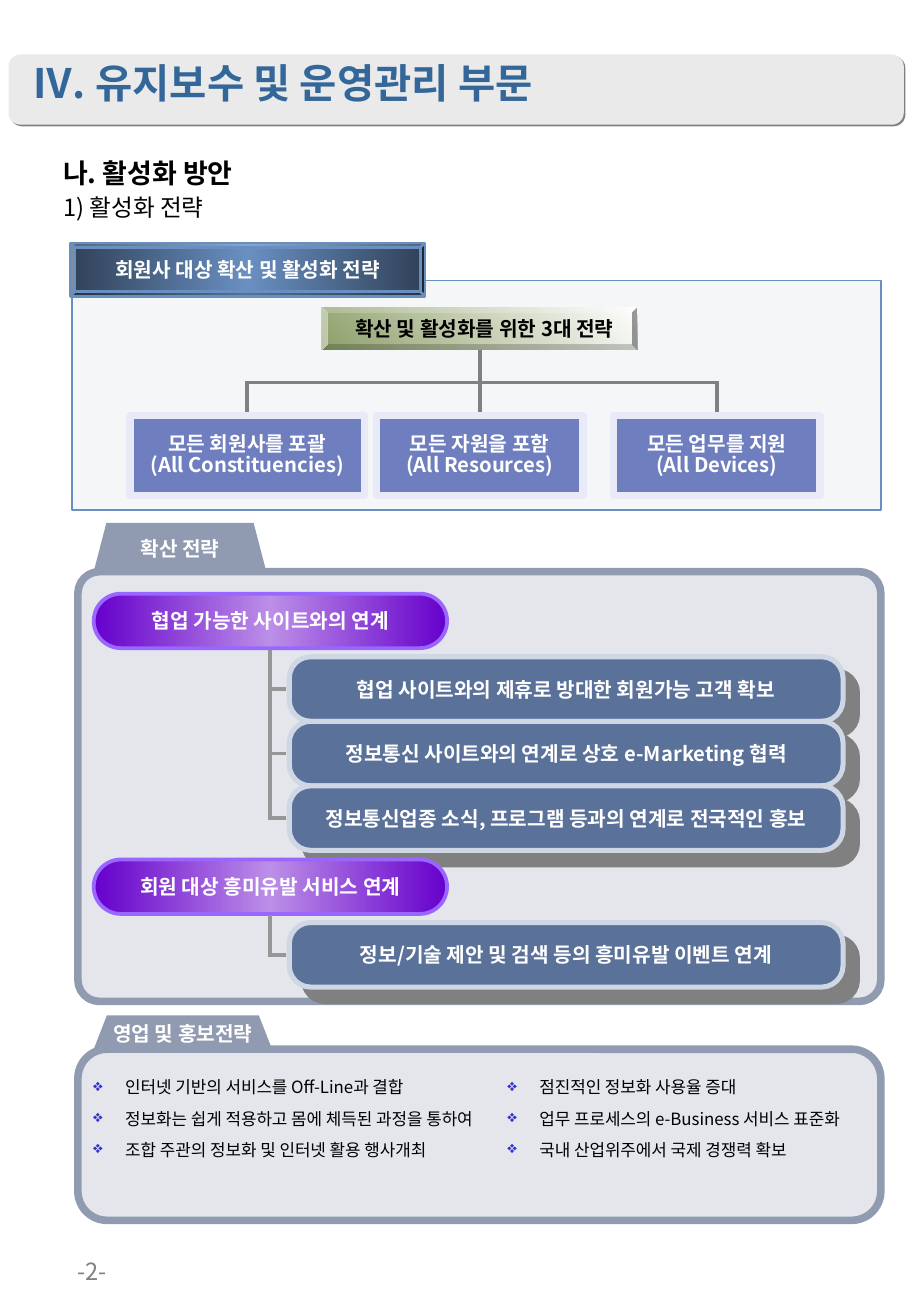
from lxml.etree import SubElement
from pptx import Presentation
from pptx.dml.color import RGBColor
from pptx.enum.shapes import MSO_CONNECTOR, MSO_SHAPE
from pptx.enum.text import MSO_ANCHOR, PP_ALIGN
from pptx.oxml.ns import qn
from pptx.util import Cm, Pt

FONT = "Noto Sans CJK KR"
COLORS = {
    "white": "FFFFFF", "black": "000000", "gray": "808080", "header": "EAEAEA",
    "heading": "336699", "overview": "ECEEF0", "blue": "698FC1", "navy": "304158",
    "green": "8EA06A", "pale": "FEFEFE", "box": "6F7EBF", "box_edge": "E8EAF8",
    "panel": "E4E6EC", "panel_edge": "909AB0", "purple": "6600CC", "lilac": "BB8EE7",
    "pill_edge": "9966FF", "row": "5A719A", "row_edge": "D0D7E4", "branch": "969696",
    "bullet": "3333CC",
}


def color(name):
    return RGBColor.from_string(COLORS[name])


def write(shape, lines, size, ink, bold=False, align=PP_ALIGN.LEFT, spacing=None):
    shape.text_frame.text = "\n".join(lines)
    for paragraph in shape.text_frame.paragraphs:
        paragraph.alignment = align
        if spacing:
            paragraph.line_spacing = spacing
        for run in paragraph.runs:
            run.font.name = FONT
            run.font.size = Pt(size)
            run.font.bold = bold
            run.font.color.rgb = color(ink)
            SubElement(run.font._element, qn("a:ea")).set("typeface", FONT)


def add_text(slide, box, lines, size, ink, **style):
    shape = slide.shapes.add_textbox(*map(Cm, box))
    shape.text_frame.word_wrap = True
    write(shape, lines, size, ink, **style)
    return shape


def add_gradient(shape, names, angle):
    """Spread the named colours evenly along the angle."""
    shape.fill.gradient()
    shape.fill.gradient_angle = angle
    stops = shape._element.spPr.find(".//" + qn("a:gsLst"))
    stops.clear()
    for index, name in enumerate(names):
        stop = SubElement(stops, qn("a:gs"), pos=str(index * 100000 // (len(names) - 1)))
        SubElement(stop, qn("a:srgbClr"), val=COLORS[name])


def add_shadow(shape, distance):
    effects = shape._element.spPr.find(qn("a:effectLst"))
    shadow = SubElement(effects, qn("a:outerShdw"), dist=str(Pt(distance)),
                        dir="2700000", algn="ctr", rotWithShape="0")
    SubElement(shadow, qn("a:srgbClr"), val=COLORS["gray"])


def add_block(slide, kind, box, fill, edge=None, width=1, adjust=None, lines=(),
              ink="white", angle=0, shadow=None):
    """A preset shape; a tuple as fill makes a gradient."""
    shape = slide.shapes.add_shape(kind, *map(Cm, box))
    shape.shadow.inherit = False
    if adjust is not None:
        shape.adjustments[0] = adjust
    if isinstance(fill, tuple):
        add_gradient(shape, fill, angle)
    else:
        shape.fill.solid()
        shape.fill.fore_color.rgb = color(fill)
    if edge:
        shape.line.color.rgb = color(edge)
        shape.line.width = Pt(width)
    else:
        shape.line.fill.background()
    if shadow:
        add_shadow(shape, shadow)
    if lines:
        frame = shape.text_frame
        frame.word_wrap = False
        frame.vertical_anchor = MSO_ANCHOR.MIDDLE
        frame.margin_top = frame.margin_bottom = 0
        write(shape, lines, 12, ink, bold=True, align=PP_ALIGN.CENTER,
              spacing=0.85 if len(lines) > 1 else None)
    return shape


def add_line(slide, start, end, ink):
    connector = slide.shapes.add_connector(MSO_CONNECTOR.STRAIGHT, *map(Cm, start + end))
    connector.line.color.rgb = color(ink)
    connector.line.width = Pt(2.25)
    connector.line._get_or_add_ln().set("cap", "sq")
    SubElement(connector._element.spPr, qn("a:effectLst"))


def add_tabbed_panel(slide, top, height, adjust, tab_width, tab_height, tab_adjust, label):
    add_block(slide, MSO_SHAPE.ROUNDED_RECTANGLE, (1.63, top, 16.79, height),
              "panel", "panel_edge", 4.5, adjust)
    add_block(slide, MSO_SHAPE.TRAPEZOID, (1.96, top - tab_height, tab_width, tab_height),
              "panel_edge", adjust=tab_adjust, lines=[label])


def add_linked_group(slide, top, label, first_row, rows):
    """A pill with rows hanging from a trunk below it."""
    height, trunk, row_left, pill_height = 1.35, 5.64, 6.05, 1.14
    add_block(slide, MSO_SHAPE.ROUNDED_RECTANGLE, (1.96, top, 7.39, pill_height),
              ("purple", "lilac", "purple"), "pill_edge", 2.25, 0.5, [label])
    for index, text in enumerate(rows):
        row_top = first_row + index * height
        middle = row_top + height / 2
        add_block(slide, MSO_SHAPE.ROUNDED_RECTANGLE, (row_left, row_top, 11.58, height),
                  "row", "row_edge", 3, 0.33, [text], shadow=12.1)
        add_line(slide, (trunk, middle), (row_left - 0.1, middle), "branch")
    add_line(slide, (trunk, top + pill_height + 0.07), (trunk, middle), "branch")


def add_bullets(slide, box, lines):
    shape = add_text(slide, box, lines, 10, "black", spacing=1.02)
    for index, paragraph in enumerate(shape.text_frame.paragraphs):
        if index:
            paragraph.space_before = Pt(6.2)
        properties = paragraph._p.get_or_add_pPr()
        properties.set("marL", str(Cm(0.67)))
        properties.set("indent", str(-Cm(0.67)))
        tint = SubElement(properties, qn("a:buClr"))
        SubElement(tint, qn("a:srgbClr"), val=COLORS["bullet"])
        SubElement(properties, qn("a:buChar"), char="❖")


def add_header(slide):
    add_block(slide, MSO_SHAPE.ROUNDED_RECTANGLE, (0.18, 1.14, 18.72, 1.47), "header",
              adjust=0.17, shadow=1.4)
    add_text(slide, (0.43, 1.09, 16.08, 1.37), ["Ⅳ. 유지보수 및 운영관리 부문"],
             24, "heading", bold=True)
    section = add_text(slide, (1.07, 3.05, 16.08, 2.2), ["나. 활성화 방안", "1) 활성화 전략"],
                       16, "black", bold=True, spacing=1.15)
    subsection = section.text_frame.paragraphs[1].runs[0].font
    subsection.size = Pt(14)
    subsection.bold = False


def add_overview(slide):
    panel = add_block(slide, MSO_SHAPE.RECTANGLE, (1.5, 5.87, 16.92, 4.8), "overview", "blue")
    tint = panel._element.spPr.find(qn("a:solidFill"))[0]
    SubElement(tint, qn("a:alpha"), val="50000")
    add_block(slide, MSO_SHAPE.BEVEL, (1.47, 5.08, 7.42, 1.12), ("navy", "blue", "navy"),
              "blue", 1.5, 0.09, ["회원사 대상 확산 및 활성화 전략"])
    root = add_block(slide, MSO_SHAPE.BEVEL, (6.73, 6.43, 6.6, 0.89), ("pale", "green"),
                     adjust=0.125, lines=["확산 및 활성화를 위한 3대 전략"], ink="black", angle=225)
    root.text_frame.margin_right = Cm(0.05)

    # Three strategies under the root
    strategies = [(2.72, 4.9, "모든 회원사를 포괄", "(All Constituencies)"),
                  (7.87, 4.32, "모든 자원을 포함", "(All Resources)"),
                  (12.83, 4.32, "모든 업무를 지원", "(All Devices)")]
    bus = 8.0
    centers = [left + width / 2 for left, width, *_ in strategies]
    for center, (left, width, *lines) in zip(centers, strategies):
        add_block(slide, MSO_SHAPE.RECTANGLE, (left, 8.69, width, 1.68),
                  "box", "box_edge", 4.5, lines=lines)
        add_line(slide, (center, bus), (center, 8.57), "gray")
    add_line(slide, (centers[0], bus), (centers[-1], bus), "gray")
    add_line(slide, (centers[1], 7.36), (centers[1], bus), "gray")


def main():
    presentation = Presentation()
    presentation.slide_width = Cm(19.05)
    presentation.slide_height = Cm(27.53)
    slide = presentation.slides.add_slide(presentation.slide_layouts[6])

    add_header(slide)
    add_overview(slide)

    # Spreading strategy
    add_tabbed_panel(slide, 11.96, 8.99, 0.05, 3.61, 1.02, 0.26, "확산 전략")
    add_linked_group(slide, 12.42, "협업 가능한 사이트와의 연계", 13.74, [
        "협업 사이트와의 제휴로 방대한 회원가능 고객 확보",
        "정보통신 사이트와의 연계로 상호 e-Marketing 협력",
        "정보통신업종 소식, 프로그램 등과의 연계로 전국적인 홍보"])
    add_linked_group(slide, 17.98, "회원 대상 흥미유발 서비스 연계", 19.3,
                     ["정보/기술 제안 및 검색 등의 흥미유발 이벤트 연계"])

    # Sales and promotion strategy
    add_tabbed_panel(slide, 21.95, 3.58, 0.17, 3.73, 0.71, 0.39, "영업 및 홍보전략")
    add_bullets(slide, (1.7, 22.4, 9.32, 2.24), [
        "인터넷 기반의 서비스를 Off-Line과 결합",
        "정보화는 쉽게 적용하고 몸에 체득된 과정을 통하여",
        "조합 주관의 정보화 및 인터넷 활용 행사개최"])
    add_bullets(slide, (10.36, 22.4, 8.46, 2.24), [
        "점진적인 정보화 사용율 증대",
        "업무 프로세스의 e-Business 서비스 표준화",
        "국내 산업위주에서 국제 경쟁력 확보"])

    # Page number
    add_text(slide, (0.15, 26.16, 2.34, 1.3), ["-2-"], 14, "gray", align=PP_ALIGN.RIGHT)
    presentation.save("out.pptx")


if __name__ == "__main__":
    main()
